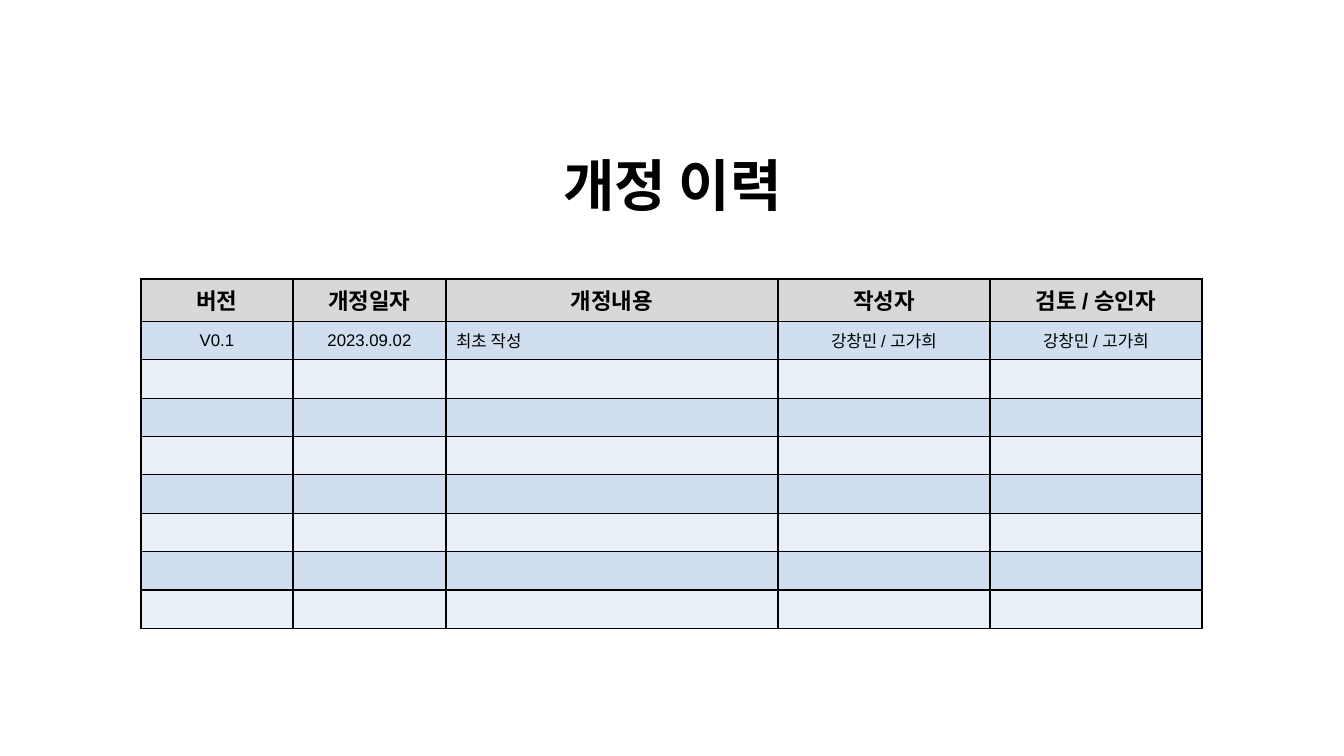
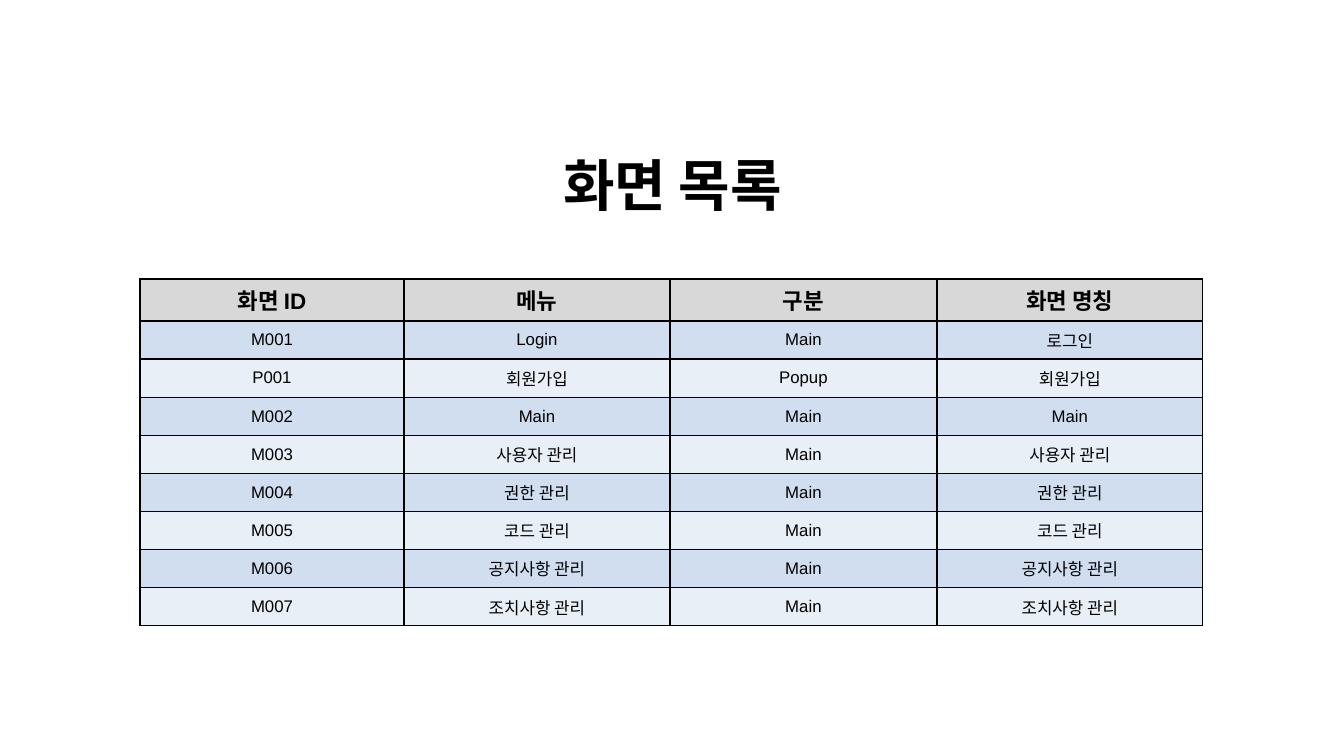
from lxml.etree import SubElement
from pptx import Presentation
from pptx.dml.color import RGBColor
from pptx.enum.text import MSO_ANCHOR, PP_ALIGN
from pptx.oxml.ns import qn
from pptx.util import Emu, Pt

COLORS = {
    "text": "000000",
    "border": "000000",
    "header": "D8D8D8",
    "odd": "D0DEEF",
    "even": "E9EFF7",
}
HEADER_HEIGHT = 42


def px(length):
    return Emu(round(length * 914400 / 100.8))


def style_paragraph(paragraph, font_name, size, bold, alignment):
    paragraph.alignment = alignment
    paragraph.font.name = font_name
    paragraph.font.size = Pt(size)
    paragraph.font.bold = bold
    paragraph.font.color.rgb = RGBColor.from_string(COLORS["text"])


# Content of the slides
pages = [
    {
        "title": "개정 이력",
        "left": 141,
        "top": 279,
        "row_height": 38.4,
        "widths": [152, 153, 332, 212, 212],
        "left_aligned": {2},
        "rows": [
            ["버전", "개정일자", "개정내용", "작성자", "검토 / 승인자"],
            ["V0.1", "2023.09.02", "최초 작성", "강창민 / 고가희", "강창민 / 고가희"],
        ] + [[""] * 5] * 7,
    },
    {
        "title": "화면 목록",
        "left": 140,
        "top": 279,
        "row_height": 38.1,
        "widths": [264, 266, 267, 266],
        "left_aligned": set(),
        "rows": [
            ["화면 ID", "메뉴", "구분", "화면 명칭"],
            ["M001", "Login", "Main", "로그인"],
            ["P001", "회원가입", "Popup", "회원가입"],
            ["M002", "Main", "Main", "Main"],
            ["M003", "사용자 관리", "Main", "사용자 관리"],
            ["M004", "권한 관리", "Main", "권한 관리"],
            ["M005", "코드 관리", "Main", "코드 관리"],
            ["M006", "공지사항 관리", "Main", "공지사항 관리"],
            ["M007", "조치사항 관리", "Main", "조치사항 관리"],
        ],
    },
]

presentation = Presentation()
presentation.slide_width = px(1344)
presentation.slide_height = px(756)

for page in pages:
    slide = presentation.slides.add_slide(presentation.slide_layouts[6])

    # Table grid
    rows, widths = page["rows"], page["widths"]
    heights = [HEADER_HEIGHT] + [page["row_height"]] * (len(rows) - 1)
    table = slide.shapes.add_table(
        len(rows), len(widths), px(page["left"]), px(page["top"]),
        px(sum(widths)), px(sum(heights)),
    ).table
    table.first_row = False
    table.horz_banding = False
    for column, width in zip(table.columns, widths):
        column.width = px(width)
    for row, height in zip(table.rows, heights):
        row.height = px(height)

    # Table cells
    for row_index, texts in enumerate(rows):
        is_header = row_index == 0
        band = "header" if is_header else "odd" if row_index % 2 else "even"
        for column_index, text in enumerate(texts):
            cell = table.cell(row_index, column_index)
            cell.text = text
            cell.vertical_anchor = MSO_ANCHOR.MIDDLE
            to_left = not is_header and column_index in page["left_aligned"]
            style_paragraph(
                cell.text_frame.paragraphs[0], "Arial", 16 if is_header else 12,
                is_header, PP_ALIGN.LEFT if to_left else PP_ALIGN.CENTER,
            )
            # Borders come before the fill in the cell properties
            properties = cell._tc.get_or_add_tcPr()
            for side in ("lnL", "lnR", "lnT", "lnB"):
                line = SubElement(properties, qn(f"a:{side}"), w=str(Pt(1)))
                line_fill = SubElement(line, qn("a:solidFill"))
                SubElement(line_fill, qn("a:srgbClr"), val=COLORS["border"])
            cell.fill.solid()
            cell.fill.fore_color.rgb = RGBColor.from_string(COLORS[band])

    # Title
    title = slide.shapes.add_textbox(px(370), px(127), px(605), px(97))
    title.text_frame.word_wrap = True
    title.text_frame.vertical_anchor = MSO_ANCHOR.BOTTOM
    paragraph = title.text_frame.paragraphs[0]
    paragraph.text = page["title"]
    paragraph.line_spacing = 0.9
    style_paragraph(paragraph, "Noto Sans CJK KR", 40, True, PP_ALIGN.CENTER)

presentation.save("out.pptx")
